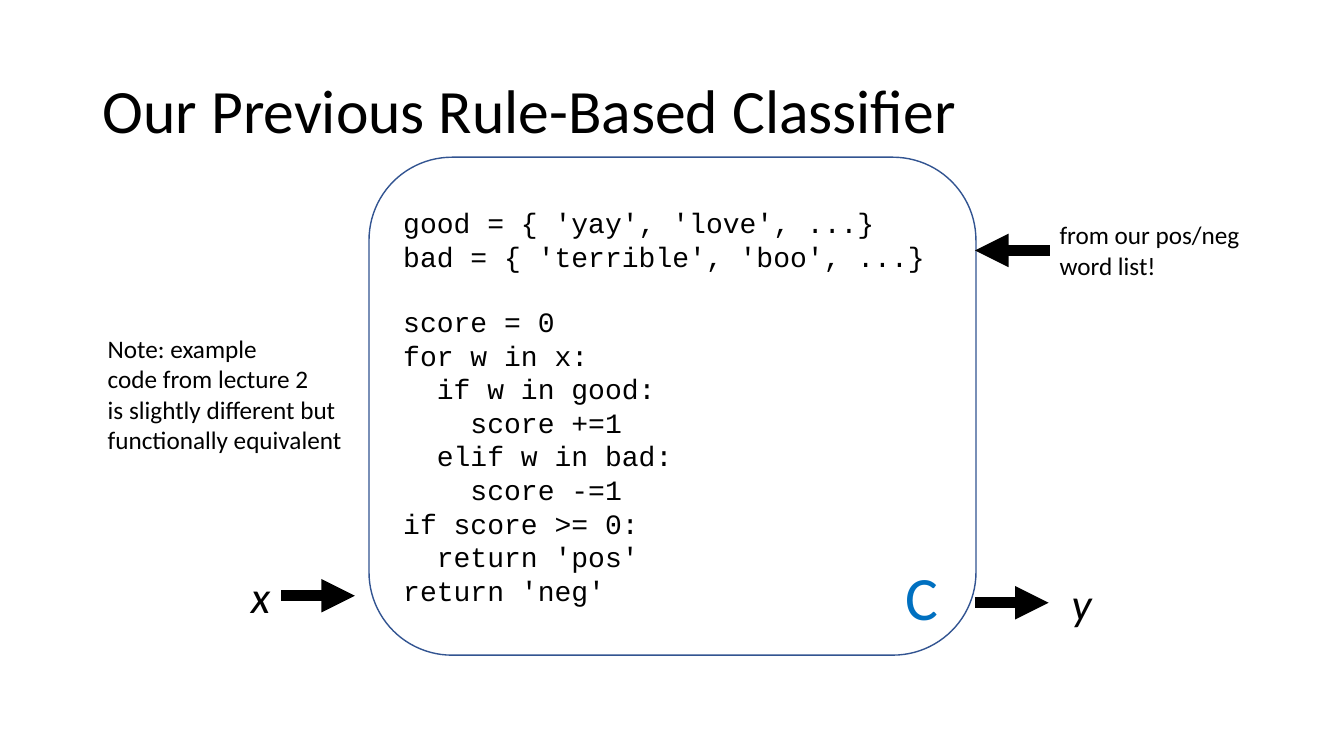
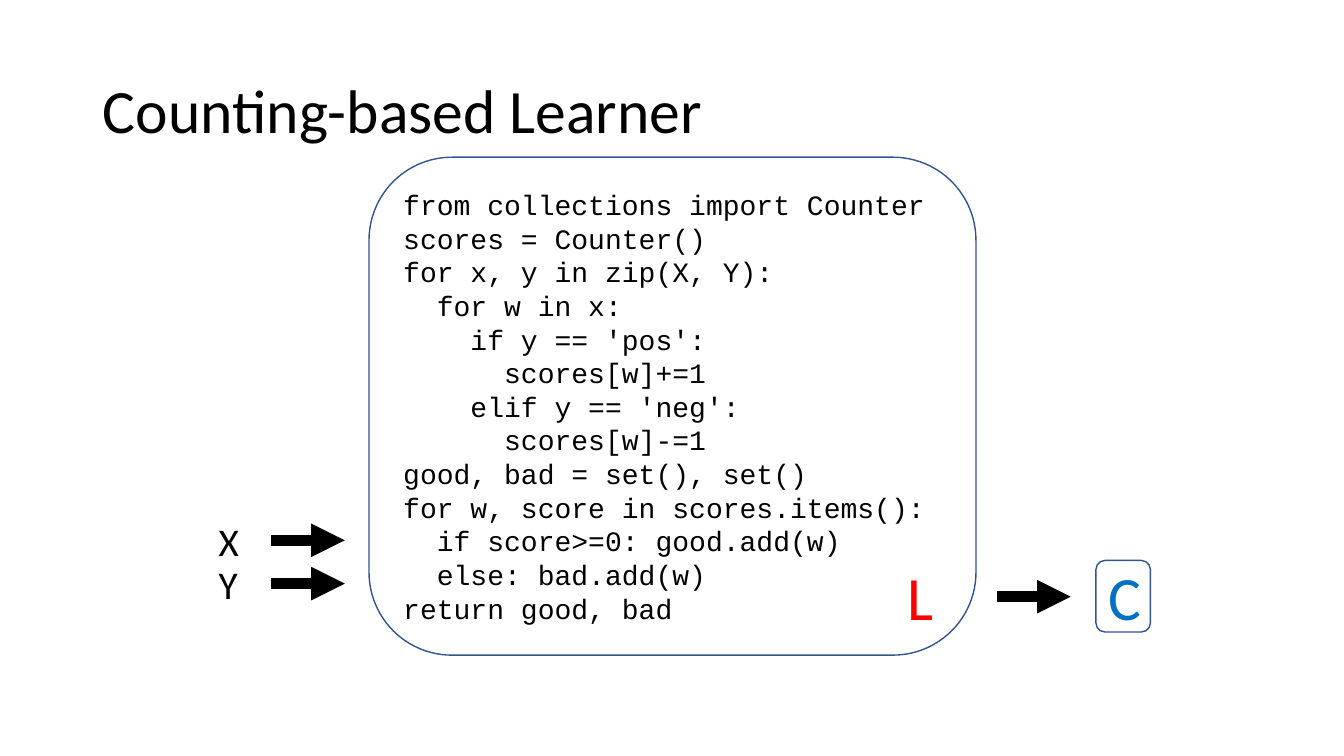
from pptx import Presentation
from pptx.dml.color import RGBColor
from pptx.enum.shapes import MSO_CONNECTOR as CONN, MSO_SHAPE as SHAPE
from pptx.enum.text import MSO_ANCHOR as ANCHOR, MSO_AUTO_SIZE as FIT, PP_ALIGN as ALIGN
from pptx.oxml.ns import qn
from pptx.util import Pt
from lxml.etree import SubElement

PX = 9144  # 100 px to the inch
BLACK, WHITE, NAVY, BLUE, RED = "000000", "FFFFFF", "325491", "0070C0", "FF0000"
SANS, MONO = "Calibri", "Courier New"
LEFT, RIGHT = 1, 3  # connection sites

RULE_CODE = """\
good = { 'yay', 'love', ...}
bad = { 'terrible', 'boo', ...}

score = 0
for w in x:
  if w in good:
    score +=1
  elif w in bad:
    score -=1
if score >= 0:
  return 'pos'
return 'neg'"""

LEARNER_CODE = """\
from collections import Counter
scores = Counter()
for x, y in zip(X, Y):
  for w in x:
    if y == 'pos':
      scores[w]+=1
    elif y == 'neg':
      scores[w]-=1
good, bad = set(), set()
for w, score in scores.items():
  if score>=0: good.add(w)
  else: bad.add(w)
return good, bad"""


def rgb(color):
    return RGBColor.from_string(color)


def emu(*lengths):
    return [n * PX for n in lengths]


class Deck:
    def __init__(self, width, height):
        self.prs = Presentation()
        self.prs.slide_width, self.prs.slide_height = emu(width, height)
        self.s = None

    def slide(self, title):
        self.s = self.prs.slides.add_slide(self.prs.slide_layouts[5])
        sp = self.s.shapes.title
        sp.left, sp.top, sp.width, sp.height = emu(92, 40, 1150, 145)
        tf = sp.text_frame
        tf.vertical_anchor, tf.auto_size = ANCHOR.MIDDLE, FIT.NONE
        self.put_text(tf, title, 44)
        tf.paragraphs[0].line_spacing = 0.9

    def put_text(self, tf, text, size, color=BLACK, font=SANS, align=ALIGN.LEFT, italic=False):
        """One paragraph a line; an empty line becomes space before the next."""
        p, gap = None, 0
        for line in text.split("\n"):
            if not line:
                gap = size * 1.133
                continue
            p = tf.add_paragraph() if p is not None else tf.paragraphs[0]
            p.add_run().text = line
            p.alignment = align
            if gap:
                p.space_before, gap = Pt(gap), 0
            p.font.name, p.font.size, p.font.italic = font, Pt(size), italic
            p.font.color.rgb = rgb(color)

    def label(self, x, y, w, h, text, size, italic=False):
        sp = self.s.shapes.add_textbox(*emu(x, y, w, h))
        tf = sp.text_frame
        tf.word_wrap, tf.auto_size = False, FIT.SHAPE_TO_FIT_TEXT
        self.put_text(tf, text, size, italic=italic)
        return sp

    def round_box(self, x, y, w, h, fill=None, line=None):
        sp = self.s.shapes.add_shape(SHAPE.ROUNDED_RECTANGLE, *emu(x, y, w, h))
        sp.shadow.inherit = False
        if fill:
            sp.fill.solid()
            sp.fill.fore_color.rgb = rgb(fill)
        else:
            sp.fill.background()
        if line:
            sp.line.color.rgb = rgb(line)
            sp.line.width = Pt(1)
        else:
            sp.line.fill.background()
        sp.text_frame.vertical_anchor = ANCHOR.MIDDLE
        return sp.text_frame

    def code(self, text):
        self.put_text(self.round_box(366, 156, 602, 494, line=NAVY), text, 20, font=MONO)

    def badge(self, x, letter, color, line=None):
        tf = self.round_box(x, 556, 54, 71, WHITE, line)
        self.put_text(tf, letter, 44, color, align=ALIGN.CENTER)

    def arrow(self, x, y, length=73, start=None, site=RIGHT):
        cx = self.s.shapes.add_connector(CONN.STRAIGHT, *emu(x, y, x + length, y))
        if start is not None:
            cx.begin_connect(start, site)
            cx.end_y = cx.begin_y
        cx.line.color.rgb = rgb(BLACK)
        cx.line.width = Pt(8)
        props = cx.element.spPr
        SubElement(props.find(qn("a:ln")), qn("a:tailEnd"), type="triangle")
        SubElement(props, qn("a:effectLst"))


def main():
    deck = Deck(1333, 750)

    # Rule-based classifier
    deck.slide("Our Previous Rule-Based Classifier")
    deck.code(RULE_CODE)
    deck.badge(886, "C", BLUE)
    x_in = deck.label(239, 559, 40, 64, "x", 32, italic=True)
    deck.arrow(279, 591, start=x_in)
    deck.arrow(967, 598)
    deck.label(1053, 566, 40, 64, "y", 32, italic=True)
    source = deck.label(1041, 213, 201, 71, "from our pos/neg\nword list!", 18)
    deck.arrow(1041, 248, -74, start=source, site=LEFT)
    deck.label(97, 326, 255, 131,
               "Note: example\ncode from lecture 2\n"
               "is slightly different but\nfunctionally equivalent", 18)

    # Counting-based learner
    deck.slide("Counting-based Learner")
    deck.code(LEARNER_CODE)
    deck.badge(886, "L", RED)
    for name, top in (("X", 508), ("Y", 551)):
        deck.label(207, top, 40, 57, name, 28)
        deck.arrow(269, top + 28)
    deck.badge(1087, "C", BLUE, NAVY)
    deck.arrow(989, 592)

    deck.prs.save("out.pptx")


if __name__ == "__main__":
    main()
